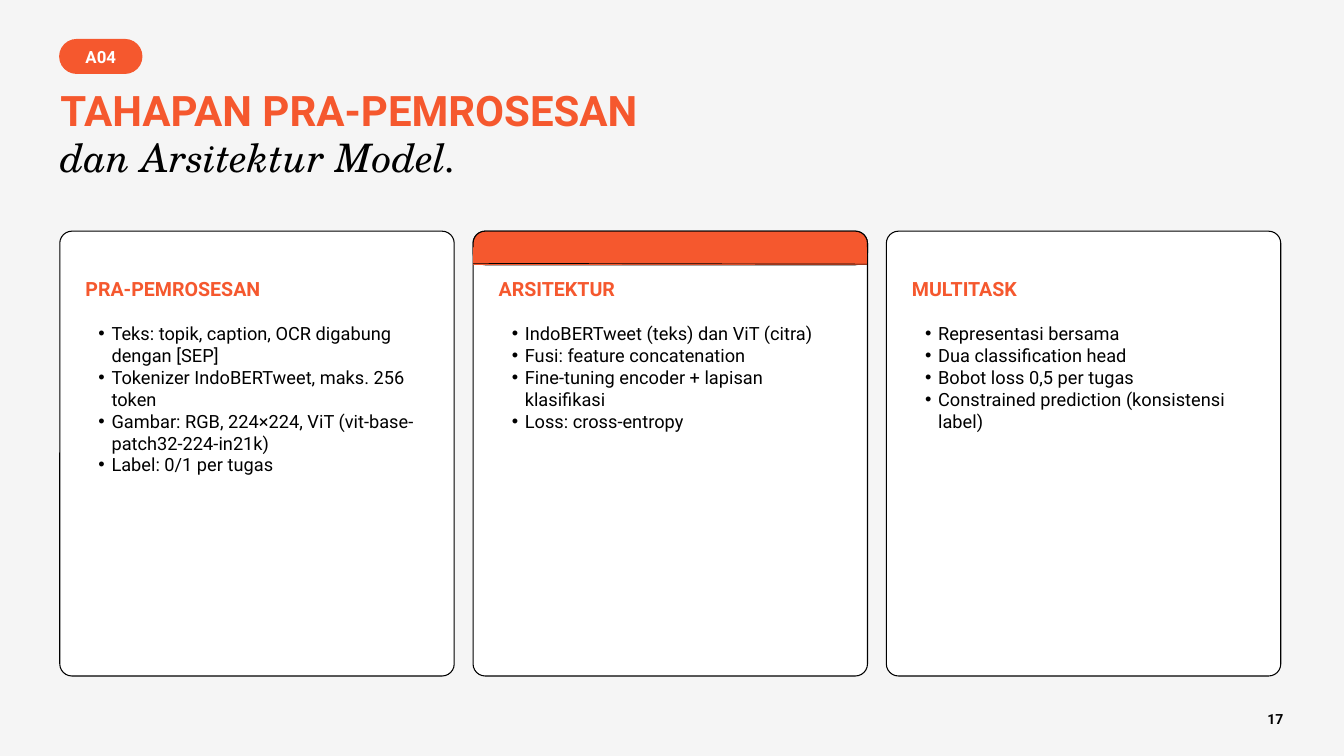
from lxml.etree import SubElement
from pptx import Presentation
from pptx.dml.color import RGBColor
from pptx.enum.shapes import MSO_CONNECTOR, MSO_SHAPE
from pptx.enum.text import MSO_ANCHOR, MSO_AUTO_SIZE, PP_ALIGN
from pptx.oxml.ns import qn
from pptx.util import Pt

ORANGE = RGBColor(0xF5, 0x58, 0x2E)
BLACK = RGBColor(0, 0, 0)
WHITE = RGBColor(0xFF, 0xFF, 0xFF)
PALE_GRAY = RGBColor(0xF5, 0xF5, 0xF5)
SANS, SERIF = "Roboto", "TeX Gyre Schola"

SECTION = "A04"
TITLE = "TAHAPAN PRA-PEMROSESAN"
SUBTITLE = "dan Arsitektur Model."
PAGE_NUMBER = "17"
CARDS = [
    ("PRA-PEMROSESAN", [
        "Teks: topik, caption, OCR digabung dengan [SEP]",
        "Tokenizer IndoBERTweet, maks. 256 token",
        "Gambar: RGB, 224×224, ViT (vit-base-patch32-224-in21k)",
        "Label: 0/1 per tugas",
    ]),
    ("ARSITEKTUR", [
        "IndoBERTweet (teks) dan ViT (citra)",
        "Fusi: feature concatenation",
        "Fine-tuning encoder + lapisan klasifikasi",
        "Loss: cross-entropy",
    ]),
    ("MULTITASK", [
        "Representasi bersama",
        "Dua classification head",
        "Bobot loss 0,5 per tugas",
        "Constrained prediction (konsistensi label)",
    ]),
]
HIGHLIGHTED = 1

CARD_LEFT, CARD_TOP, CARD_WIDTH, CARD_HEIGHT = 64.1, 247.7, 422.6, 476.6
CARD_PITCH = 442.8
CARD_PADDING = 27.4
CORNER_RADIUS = 13
BAND_HEIGHT = 36


def place(shape, left, top, width, height):
    shape.left, shape.top = Pt(left), Pt(top)
    shape.width, shape.height = Pt(width), Pt(height)


def clear_insets(frame, anchor=MSO_ANCHOR.TOP):
    frame.margin_left = frame.margin_right = 0
    frame.margin_top = frame.margin_bottom = 0
    frame.word_wrap = True
    frame.auto_size = MSO_AUTO_SIZE.NONE
    frame.vertical_anchor = anchor


def style(paragraph, size, leading, color=BLACK, face=SANS, bold=False,
          italic=False, align=PP_ALIGN.LEFT):
    paragraph.alignment = align
    paragraph.line_spacing = Pt(leading)
    paragraph.space_before = paragraph.space_after = Pt(0)
    font = paragraph.font
    font.name, font.size = face, Pt(size)
    font.bold, font.italic = bold, italic
    font.color.rgb = color


def add_box(slide, kind, box, fill, line, line_width, radius=None):
    shape = slide.shapes.add_shape(kind, *map(Pt, box))
    shape.shadow.inherit = False
    shape.fill.solid()
    shape.fill.fore_color.rgb = fill
    shape.line.color.rgb = line
    shape.line.width = Pt(line_width)
    if radius is not None:
        shape.adjustments[0] = radius / min(box[2:])
    return shape


def add_label(slide, text, box, **look):
    frame = slide.shapes.add_textbox(*map(Pt, box)).text_frame
    clear_insets(frame)
    frame.text = text
    style(frame.paragraphs[0], **look)


def bring_to_front(shape):
    shape.element.getparent().append(shape.element)


def add_bullet(paragraph):
    properties = paragraph._p.get_or_add_pPr()
    properties.set("marL", str(Pt(28)))
    properties.set("indent", str(Pt(-14)))
    SubElement(properties, qn("a:buChar"), char="•")


def add_band(slide, left):
    """Orange header of a card: rounded above, square below, with a rule."""
    add_box(slide, MSO_SHAPE.ROUNDED_RECTANGLE,
            (left, CARD_TOP, CARD_WIDTH, BAND_HEIGHT),
            ORANGE, BLACK, 1.13, CORNER_RADIUS)
    half = BAND_HEIGHT / 2
    add_box(slide, MSO_SHAPE.RECTANGLE,
            (left + 1, CARD_TOP + half, CARD_WIDTH - 2, half),
            ORANGE, ORANGE, 1.5)
    rule = slide.shapes.add_connector(
        MSO_CONNECTOR.STRAIGHT, Pt(left), Pt(282.2),
        Pt(left + CARD_WIDTH), Pt(283))
    rule.line.color.rgb = BLACK
    rule.line.width = Pt(0.75)
    SubElement(rule.element.spPr, qn("a:effectLst"))


def fill_list(body, items, left):
    place(body, left, 345.6, 367.2, 356.4)
    frame = body.text_frame
    clear_insets(frame)
    frame.text = "\n".join(items)
    for paragraph in frame.paragraphs:
        add_bullet(paragraph)
        style(paragraph, 19.5, 23.4)
    bring_to_front(body)


def main():
    deck = Presentation()
    deck.slide_width, deck.slide_height = Pt(1440), Pt(810)
    slide = deck.slides.add_slide(deck.slide_layouts.get_by_name("Comparison"))
    slide.background.fill.solid()
    slide.background.fill.fore_color.rgb = PALE_GRAY
    title, *bodies = slide.placeholders

    add_label(slide, PAGE_NUMBER, (1285.2, 761.8, 90, 24.5),
              size=15, leading=18, bold=True, align=PP_ALIGN.RIGHT)

    pill = add_box(slide, MSO_SHAPE.ROUNDED_RECTANGLE, (64.1, 42.5, 87.8, 36),
                   ORANGE, ORANGE, 1.5, 18)
    clear_insets(pill.text_frame, MSO_ANCHOR.MIDDLE)
    pill.text_frame.text = SECTION
    style(pill.text_frame.paragraphs[0], 18, 21.6, WHITE, bold=True,
          align=PP_ALIGN.CENTER)

    place(title, 64.8, 93.6, 1306.8, 111.6)
    clear_insets(title.text_frame)
    title.text_frame.text = f"{TITLE}\n{SUBTITLE}"
    heading, subheading = title.text_frame.paragraphs
    style(heading, 45, 51.3, ORANGE, bold=True)
    style(subheading, 42, 47.9, face=SERIF, italic=True)
    bring_to_front(title)

    for index, (name, items) in enumerate(CARDS):
        left = CARD_LEFT + index * CARD_PITCH
        add_box(slide, MSO_SHAPE.ROUNDED_RECTANGLE,
                (left, CARD_TOP, CARD_WIDTH, CARD_HEIGHT),
                WHITE, BLACK, 1.13, CORNER_RADIUS)
        if index == HIGHLIGHTED:
            add_band(slide, left)
        text_left = left + CARD_PADDING
        add_label(slide, name, (text_left, 296.6, 367.2, 32.4),
                  size=21, leading=25.2, color=ORANGE, bold=True)
        fill_list(bodies[index], items, text_left)

    for unused in bodies[len(CARDS):]:
        unused.element.getparent().remove(unused.element)

    deck.save("out.pptx")


if __name__ == "__main__":
    main()
